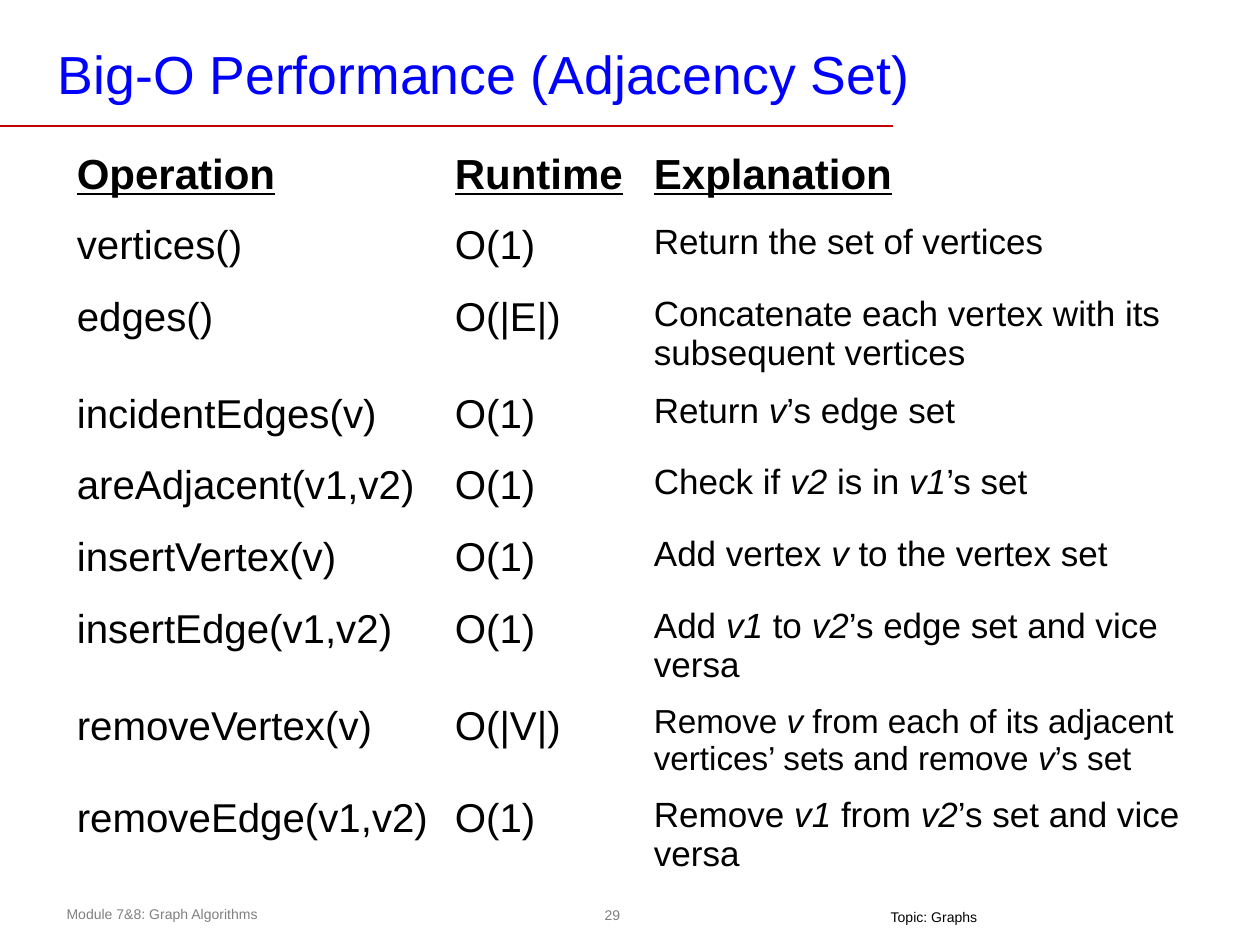
from pptx import Presentation
from pptx.dml.color import RGBColor
from pptx.enum.shapes import MSO_CONNECTOR, MSO_SHAPE
from pptx.enum.text import MSO_ANCHOR, MSO_AUTO_SIZE, PP_ALIGN
from pptx.oxml.ns import qn
from pptx.util import Inches, Pt
from lxml import etree

STRAIGHT = MSO_CONNECTOR.STRAIGHT
OVAL = MSO_SHAPE.OVAL
MIDDLE = MSO_ANCHOR.MIDDLE
LEFT, CENTER = PP_ALIGN.LEFT, PP_ALIGN.CENTER
NO_AUTOFIT = MSO_AUTO_SIZE.NONE
FIT_SHAPE = MSO_AUTO_SIZE.SHAPE_TO_FIT_TEXT


def color(hex_string):
    return RGBColor.from_string(hex_string)


def style_text(para, size, hex_string, bold=False, underline=False):
    for span in para.runs:
        span.font.name = "Arial"
        span.font.size = Pt(size)
        span.font.color.rgb = color(hex_string)
        span.font.bold = bold
        span.font.underline = underline


deck = Presentation()
deck.slide_width = Inches(10)
deck.slide_height = Inches(7.5)
page = deck.slides.add_slide(deck.slide_layouts[5])

number = page.shapes.add_shape(OVAL, Inches(4.74), Inches(7.13), Inches(0.24), Inches(0.26))
number.shadow.inherit = False
number.fill.background()
number.line.fill.background()
frame = number.text_frame
frame.margin_left = frame.margin_right = Inches(0.04)
frame.margin_top = frame.margin_bottom = Inches(0.04)
frame.word_wrap = False
frame.vertical_anchor = MIDDLE
frame.text = "29"
frame.paragraphs[0].alignment = CENTER
style_text(frame.paragraphs[0], 8, "808080")

module = page.shapes.add_textbox(Inches(0.43), Inches(7.14), Inches(3.64), Inches(0.24))
frame = module.text_frame
frame.word_wrap = True
frame.auto_size = FIT_SHAPE
frame.text = "Module 7&8: Graph Algorithms"
style_text(frame.paragraphs[0], 8, "808080")

rule = page.shapes.add_connector(STRAIGHT, Inches(0), Inches(1), Inches(7.09), Inches(1))
rule.line.color.rgb = color("C00000")
rule.line.width = Pt(1)
etree.SubElement(rule._element.spPr, qn("a:effectLst"))

title = page.shapes.title
title.left, title.top = Inches(0.39), Inches(0.28)
title.width, title.height = Inches(7.21), Inches(0.6)
frame = title.text_frame
frame.margin_left = frame.margin_right = Inches(0.07)
frame.margin_top = frame.margin_bottom = Inches(0.03)
frame.auto_size = NO_AUTOFIT
frame.vertical_anchor = MIDDLE
frame.text = "Big-O Performance (Adjacency Set)"
frame.paragraphs[0].alignment = LEFT
style_text(frame.paragraphs[0], 30.6, "0000FF")

# Asterisks enclose italic variable names.
operations = [
    ("Operation", "Runtime", "Explanation"),
    ("vertices()", "O(1)", "Return the set of vertices"),
    ("edges()", "O(|E|)", "Concatenate each vertex with its subsequent vertices"),
    ("incidentEdges(v)", "O(1)", "Return *v*’s edge set"),
    ("areAdjacent(v1,v2)", "O(1)", "Check if *v2* is in *v1*’s set"),
    ("insertVertex(v)", "O(1)", "Add vertex *v* to the vertex set"),
    ("insertEdge(v1,v2)", "O(1)", "Add *v1* to *v2*’s edge set and vice versa"),
    ("removeVertex(v)", "O(|V|)",
     "Remove *v* from each of its adjacent vertices’ sets and remove *v*’s set"),
    ("removeEdge(v1,v2)", "O(1)", "Remove *v1* from *v2*’s set and vice versa"),
]
column_widths = [3, 1.58, 4.5]
row_height = 0.57

table = page.shapes.add_table(
    len(operations), len(column_widths), Inches(0.51), Inches(1.15),
    Inches(sum(column_widths)), Inches(row_height * len(operations))).table
table.first_row = False
table.horz_banding = False
for column, width in zip(table.columns, column_widths):
    column.width = Inches(width)

for row_index, operation in enumerate(operations):
    table.rows[row_index].height = Inches(row_height)
    is_header = row_index == 0
    explanation_size = 19 if operation[0] == "removeVertex(v)" else 20
    sizes = [24] * 3 if is_header else [23, 23, explanation_size]
    for column_index, (text, size) in enumerate(zip(operation, sizes)):
        cell = table.cell(row_index, column_index)
        cell.fill.background()
        para = cell.text_frame.paragraphs[0]
        for part_index, part in enumerate(text.split("*")):
            span = para.add_run()
            span.text = part
            span.font.italic = part_index % 2 == 1
        style_text(para, size, "000000", bold=is_header, underline=is_header)

topic = page.shapes.add_textbox(Inches(6.97), Inches(7.21), Inches(0.89), Inches(0.17))
frame = topic.text_frame
frame.margin_top = Inches(0)
frame.margin_bottom = Inches(0.04)
frame.word_wrap = False
frame.auto_size = FIT_SHAPE
frame.text = "Topic: Graphs"
style_text(frame.paragraphs[0], 8, "000000")

deck.save("out.pptx")
